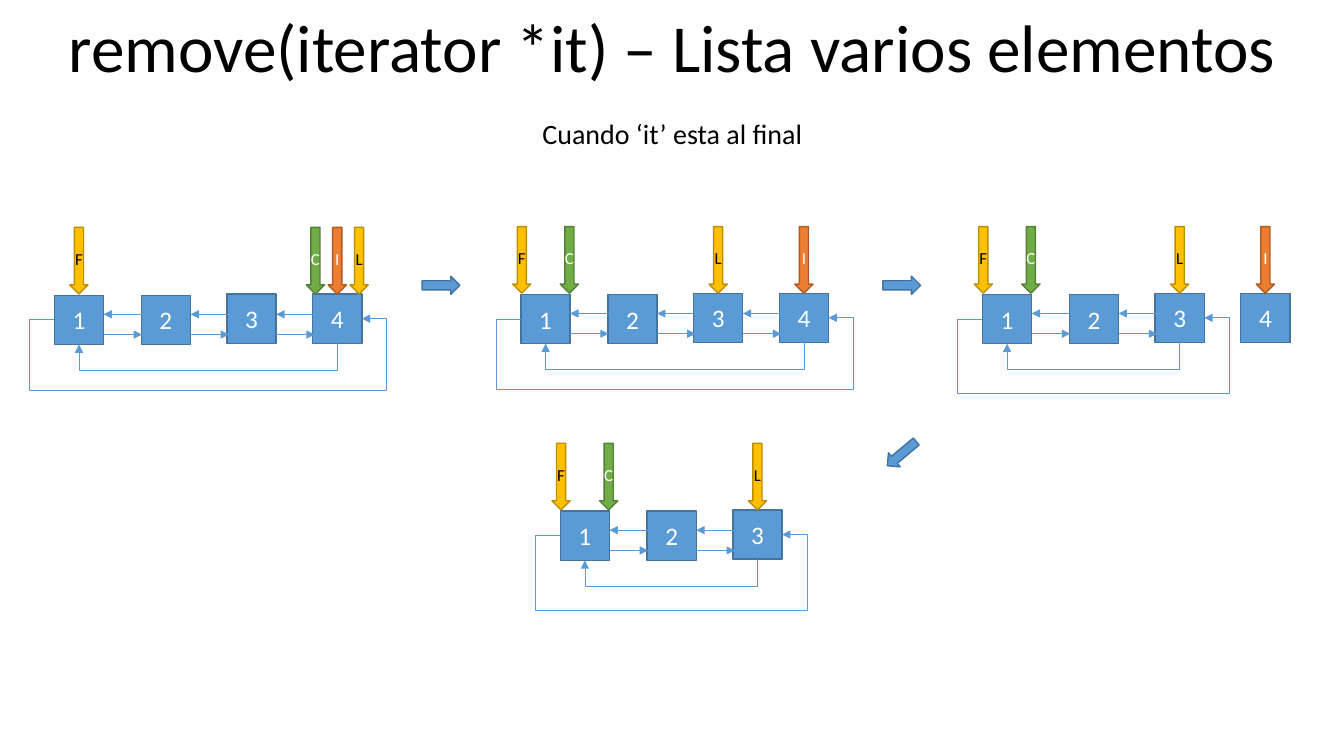
from lxml import etree
from pptx import Presentation
from pptx.dml.color import RGBColor
from pptx.enum.shapes import MSO_CONNECTOR, MSO_SHAPE
from pptx.enum.text import MSO_ANCHOR, PP_ALIGN
from pptx.oxml.ns import qn
from pptx.util import Cm, Pt

RECTANGLE = MSO_SHAPE.RECTANGLE
DOWN_ARROW = MSO_SHAPE.DOWN_ARROW
RIGHT_ARROW = MSO_SHAPE.RIGHT_ARROW
STRAIGHT, ELBOW = MSO_CONNECTOR.STRAIGHT, MSO_CONNECTOR.ELBOW
CENTER, MIDDLE, TOP = PP_ALIGN.CENTER, MSO_ANCHOR.MIDDLE, MSO_ANCHOR.TOP

BLACK = RGBColor(0x00, 0x00, 0x00)
WHITE = RGBColor(0xFF, 0xFF, 0xFF)
BLUE = RGBColor(0x5B, 0x9B, 0xD5)
DARK_BLUE = RGBColor(0x43, 0x73, 0x9E)
GOLD = RGBColor(0xFF, 0xC0, 0x00)
DARK_GOLD = RGBColor(0xBD, 0x8E, 0x00)
GREEN = RGBColor(0x70, 0xAD, 0x47)
DARK_GREEN = RGBColor(0x53, 0x80, 0x35)
ORANGE = RGBColor(0xED, 0x7D, 0x31)
DARK_ORANGE = RGBColor(0xAF, 0x5C, 0x24)

# Label: fill, outline, text colour
POINTER_STYLES = {
    "F": (GOLD, DARK_GOLD, BLACK),
    "L": (GOLD, DARK_GOLD, BLACK),
    "C": (GREEN, DARK_GREEN, WHITE),
    "I": (ORANGE, DARK_ORANGE, WHITE),
}

# Measures in centimetres
NODE = 1.24
NODE_DX = (0, 2.19, 4.35, 6.51)
RISE = 0.03  # nodes 3 and 4 sit slightly higher than 1 and 2
LINK = 0.97
PREV_DY, NEXT_DY = 0.48, 0.99
POINTER_W, POINTER_H = 0.46, 1.68
LOOP_MARGIN = 0.63
INNER_DROP = 0.69

# Left, top, nodes, linked nodes, outer drop, pointers (label, node, shift)
AFTER_MOVE = (("F", 1, -0.6), ("L", 3, 0), ("C", 1, 0.6))
LISTS = (
    (1.37, 7.44, 4, 4, 1.78,
     (("F", 1, 0), ("L", 4, 0.55), ("C", 4, -0.55), ("I", 4, 0))),
    (13.13, 7.42, 4, 4, 1.78, AFTER_MOVE + (("I", 4, 0),)),
    (24.76, 7.42, 4, 3, 1.88, AFTER_MOVE + (("I", 4, 0),)),
    (14.12, 12.88, 3, 3, 1.88, AFTER_MOVE),
)
STEPS = ((10.64, 6.96, 0), (22.25, 6.96, 0), (22.25, 11.2, 140))


def write(frame, text, *, size, color, anchor=MIDDLE):
    frame.word_wrap = True
    frame.vertical_anchor = anchor
    paragraph = frame.paragraphs[0]
    paragraph.alignment = CENTER
    run = paragraph.add_run()
    run.text = text
    run.font.name = "Calibri"
    run.font.size = Pt(size)
    run.font.color.rgb = color


def add_heading(slide, text, top, height, size):
    heading = slide.shapes.add_textbox(Cm(0.03), Cm(top), Cm(33.83), Cm(height))
    write(heading.text_frame, text, size=size, color=BLACK, anchor=TOP)


def add_block(slide, kind, left, top, width, height, fill, outline):
    block = slide.shapes.add_shape(kind, Cm(left), Cm(top), Cm(width), Cm(height))
    block.shadow.inherit = False
    block.fill.solid()
    block.fill.fore_color.rgb = fill
    block.line.color.rgb = outline
    block.line.width = Pt(1)
    return block


def add_node(slide, left, top, number):
    node = add_block(slide, RECTANGLE, left, top, NODE, NODE, BLUE, DARK_BLUE)
    write(node.text_frame, str(number), size=18, color=WHITE)


def add_pointer(slide, center, bottom, label):
    fill, outline, color = POINTER_STYLES[label]
    pointer = add_block(slide, DOWN_ARROW, center - POINTER_W / 2,
                        bottom - POINTER_H, POINTER_W, POINTER_H, fill, outline)
    frame = pointer.text_frame
    frame.margin_left = frame.margin_right = 0
    write(frame, label, size=12, color=color)


def add_link(slide, start, end, kind=STRAIGHT):
    link = slide.shapes.add_connector(kind, *(Cm(v) for v in (*start, *end)))
    link.line.color.rgb = BLUE
    link.line.width = Pt(0.5)
    properties = link._element.spPr
    tail = etree.SubElement(properties.find(qn("a:ln")), qn("a:tailEnd"))
    tail.set("type", "triangle")
    etree.SubElement(properties, qn("a:effectLst"))
    return link


def bend(link, preset, *ratios, rotation=0):
    """Set the elbow's preset, its bends as shares of its size, and its turn."""
    properties = link._element.spPr
    properties.find(qn("a:xfrm")).set("rot", str(rotation * 60000))
    geometry = properties.find(qn("a:prstGeom"))
    geometry.set("prst", preset)
    guides = geometry.find(qn("a:avLst"))
    if guides is None:
        guides = etree.SubElement(geometry, qn("a:avLst"))
    for number, ratio in enumerate(ratios, 1):
        guide = etree.SubElement(guides, qn("a:gd"))
        guide.set("name", f"adj{number}")
        guide.set("fmla", f"val {round(ratio * 100000)}")


def add_loops(slide, left, top, span, outer_drop):
    # Last node back to the first: an elbow turned by 90 degrees
    middle_x = left + (span + NODE) / 2
    middle_y = top + NODE - RISE / 2
    inner = add_link(slide, (middle_x - RISE / 2, middle_y - span / 2),
                     (middle_x + RISE / 2, middle_y + span / 2), ELBOW)
    bend(inner, "bentConnector3", INNER_DROP / RISE, rotation=90)

    # First node round to the last
    width = span + NODE
    middle = top + NODE / 2
    outer = add_link(slide, (left, middle), (left + width, middle - RISE), ELBOW)
    margin = LOOP_MARGIN / width
    bend(outer, "bentConnector5", -margin, -outer_drop / RISE, 1 + margin)


def add_list(slide, left, top, nodes, linked, outer_drop, pointers):
    for index in range(nodes):
        node_top = top - (RISE if index >= 2 else 0)
        add_node(slide, left + NODE_DX[index], node_top, index + 1)
    for dx in NODE_DX[:linked - 1]:
        near = left + dx + NODE
        far = near + LINK
        add_link(slide, (far, top + PREV_DY), (near, top + PREV_DY))
        add_link(slide, (near, top + NEXT_DY), (far, top + NEXT_DY))
    add_loops(slide, left, top, NODE_DX[linked - 1], outer_drop)
    for label, number, shift in pointers:
        center = left + NODE_DX[number - 1] + NODE / 2 + shift
        add_pointer(slide, center, top - RISE, label)


def main():
    deck = Presentation()
    deck.slide_width, deck.slide_height = Cm(33.87), Cm(19.05)
    slide = deck.slides.add_slide(deck.slide_layouts[6])

    # Headings
    add_heading(slide, "remove(iterator *it) – Lista varios elementos", 0, 2.31, 48)
    add_heading(slide, "Cuando ‘it’ esta al final", 2.82, 1.11, 20)

    # States of the list
    for state in LISTS:
        add_list(slide, *state)

    # Arrows from one state to the next
    for left, top, rotation in STEPS:
        step = add_block(slide, RIGHT_ARROW, left, top, 0.95, 0.46, BLUE, DARK_BLUE)
        step.rotation = rotation

    deck.save("out.pptx")


main()
